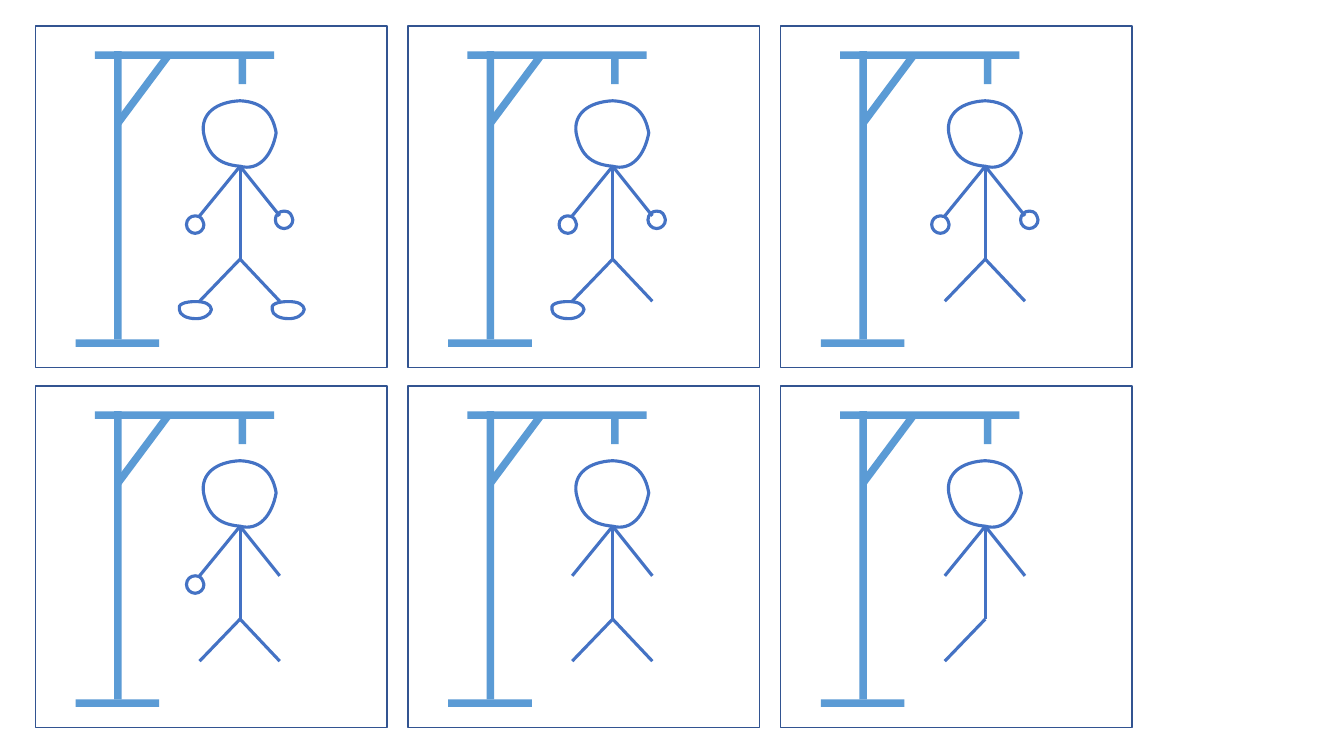
import pptx
import pptx.util
import pptx.dml.color
import pptx.enum.shapes
import pptx.oxml
import pptx.oxml.ns
from dataclasses import dataclass
from pptx.util import Cm


@dataclass(frozen=True)
class Theme:
    """Colours and line weights of the slide."""
    paper: str = "FFFFFF"
    frame: str = "325491"
    figure: str = "4472C4"
    wood: str = "5B9BD5"
    frame_weight: float = 1
    figure_weight: float = 2.25


# All lengths are centimetres, measured from the panel's top-left corner.
PANEL_WIDTH, PANEL_HEIGHT = 8.86, 8.61
COLUMNS, ROWS = 3, 2
LEFT, TOP, COLUMN_STEP, ROW_STEP = 0.89, 0.66, 9.39, 9.07

# Beams: centre x, centre y, length, rotation
BEAM_THICKNESS = 0.19
GALLOWS = [
    (2.07, 7.99, 2.11, 0),
    (2.08, 4.26, 7.26, 270),
    (3.76, 0.73, 4.52, 0),
    (2.71, 1.60, 2.11, 306.7),
    (5.22, 1.09, 0.74, 270),
]

# Closed outlines: Bezier segments (control, control, end) from the start point
HEAD = [
    [(-0.07, -0.48), (0.31, -0.78), (0.92, -0.81)],
    [(1.53, -0.78), (1.75, -0.45), (1.83, 0)],
    [(1.73, 0.56), (1.40, 0.97), (0.92, 0.84)],
    [(0.33, 0.79), (0.10, 0.51), (0, 0)],
]
HAND = [
    [(0, -0.13), (0.10, -0.22), (0.22, -0.22)],
    [(0.37, -0.22), (0.41, -0.13), (0.44, 0)],
    [(0.44, 0.12), (0.34, 0.22), (0.22, 0.22)],
    [(0.10, 0.22), (0, 0.12), (0, 0)],
]
FOOT = [
    [(-0.05, -0.13), (0.13, -0.20), (0.41, -0.20)],
    [(0.66, -0.20), (0.79, -0.13), (0.81, 0)],
    [(0.79, 0.13), (0.61, 0.24), (0.41, 0.23)],
    [(0.18, 0.23), (0, 0.13), (0, 0)],
]

NECK, HIP = (5.16, 3.53), (5.16, 5.87)
LEFT_WRIST, RIGHT_WRIST = (4.14, 4.78), (6.16, 4.78)
LEFT_ANKLE, RIGHT_ANKLE = (4.14, 6.93), (6.16, 6.93)

# Each panel shows one part fewer, taken from the end of this list.
BODY = [
    ("outline", (4.24, 2.69), HEAD),
    ("limb", NECK, HIP),
    ("limb", NECK, LEFT_WRIST),
    ("limb", NECK, RIGHT_WRIST),
    ("limb", HIP, LEFT_ANKLE),
    ("limb", HIP, RIGHT_ANKLE),
    ("outline", (3.81, 5.00), HAND),
    ("outline", (6.05, 4.88), HAND),
    ("outline", (3.63, 7.14), FOOT),
    ("outline", (5.97, 7.14), FOOT),
]


class Sketch:
    """Draws on one slide, relative to a movable panel origin."""

    def __init__(self, slide, theme):
        """Keep the slide's shapes and the theme."""
        self.shapes, self.theme = slide.shapes, theme
        self.origin = (0, 0)

    def place(self, x, y):
        """Convert a panel position to slide lengths."""
        return Cm(self.origin[0] + x), Cm(self.origin[1] + y)

    def stroke(self, line, colour, weight):
        """Set a line's colour and weight."""
        line.color.rgb = pptx.dml.color.RGBColor.from_string(colour)
        line.width = pptx.util.Pt(weight)

    def rectangle(self, x, y, width, height, fill):
        """Add a filled rectangle without shadow."""
        box = self.shapes.add_shape(
            pptx.enum.shapes.MSO_SHAPE.RECTANGLE,
            *self.place(x, y), Cm(width), Cm(height))
        box.shadow.inherit = False
        box.fill.solid()
        box.fill.fore_color.rgb = pptx.dml.color.RGBColor.from_string(fill)
        return box

    def frame(self):
        """Add the panel's border."""
        border = self.rectangle(0, 0, PANEL_WIDTH, PANEL_HEIGHT, self.theme.paper)
        self.stroke(border.line, self.theme.frame, self.theme.frame_weight)

    def beam(self, x, y, length, rotation):
        """Add a wooden beam centred on a point."""
        beam = self.rectangle(x - length / 2, y - BEAM_THICKNESS / 2,
                              length, BEAM_THICKNESS, self.theme.wood)
        beam.line.fill.background()
        beam.rotation = rotation

    def limb(self, start, end):
        """Add a straight line of the figure."""
        limb = self.shapes.add_connector(
            pptx.enum.shapes.MSO_CONNECTOR.STRAIGHT,
            *self.place(*start), *self.place(*end))
        self.stroke(limb.line, self.theme.figure, self.theme.figure_weight)
        properties = limb._element.spPr
        properties.append(pptx.oxml.parse_xml(
            "<a:effectLst %s/>" % pptx.oxml.ns.nsdecls("a")))

    def outline(self, start, segments):
        """Add a closed curve: join its end points, then bend each side."""
        curves = [[self.place(start[0] + dx, start[1] + dy) for dx, dy in segment]
                  for segment in segments]
        builder = self.shapes.build_freeform(*self.place(*start))
        builder.add_line_segments([curve[-1] for curve in curves], close=True)
        shape = builder.convert_to_shape()
        shape.shadow.inherit = False
        shape.fill.background()
        self.stroke(shape.line, self.theme.figure, self.theme.figure_weight)
        for side, curve in zip(shape._element.xpath(".//a:lnTo"), curves):
            points = "".join('<a:pt x="%d" y="%d"/>' % (x - shape.left, y - shape.top)
                             for x, y in curve)
            bend = pptx.oxml.parse_xml("<a:cubicBezTo %s>%s</a:cubicBezTo>" % (
                pptx.oxml.ns.nsdecls("a"), points))
            side.getparent().replace(side, bend)

    def panel(self, column, row, parts):
        """Draw one framed gallows with the given body parts."""
        self.origin = (LEFT + column * COLUMN_STEP, TOP + row * ROW_STEP)
        self.frame()
        for kind, start, rest in parts:
            draw = self.limb if kind == "limb" else self.outline
            draw(start, rest)
        for beam in GALLOWS:
            self.beam(*beam)


def main():
    """Build the slide and save it."""
    deck = pptx.Presentation()
    deck.slide_width, deck.slide_height = Cm(33.87), Cm(19.05)
    blank = deck.slide_layouts[6]
    sketch = Sketch(deck.slides.add_slide(blank), Theme())
    for missing in range(COLUMNS * ROWS):
        row, column = divmod(missing, COLUMNS)
        sketch.panel(column, row, BODY[:len(BODY) - missing])
    deck.save("out.pptx")


main()
